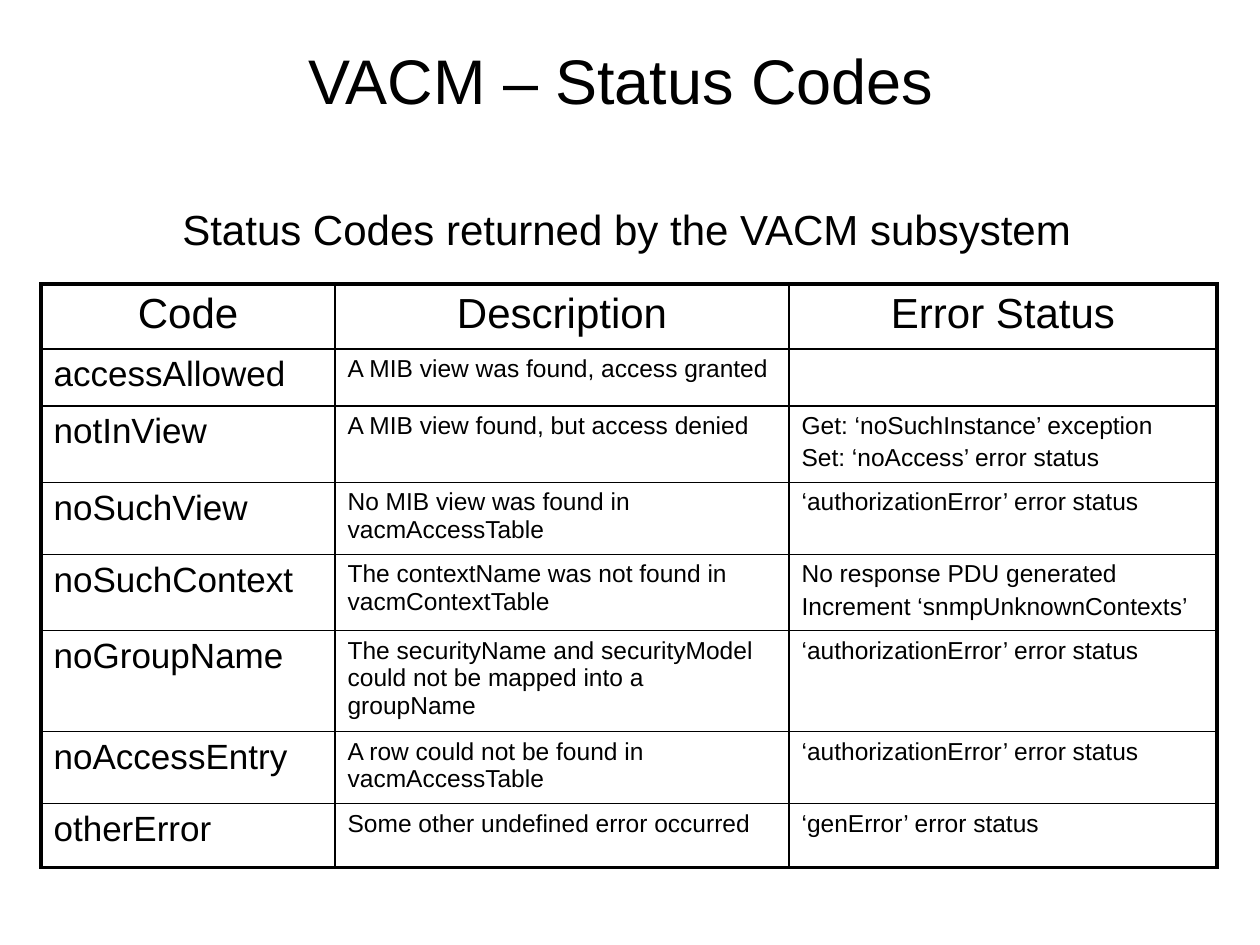
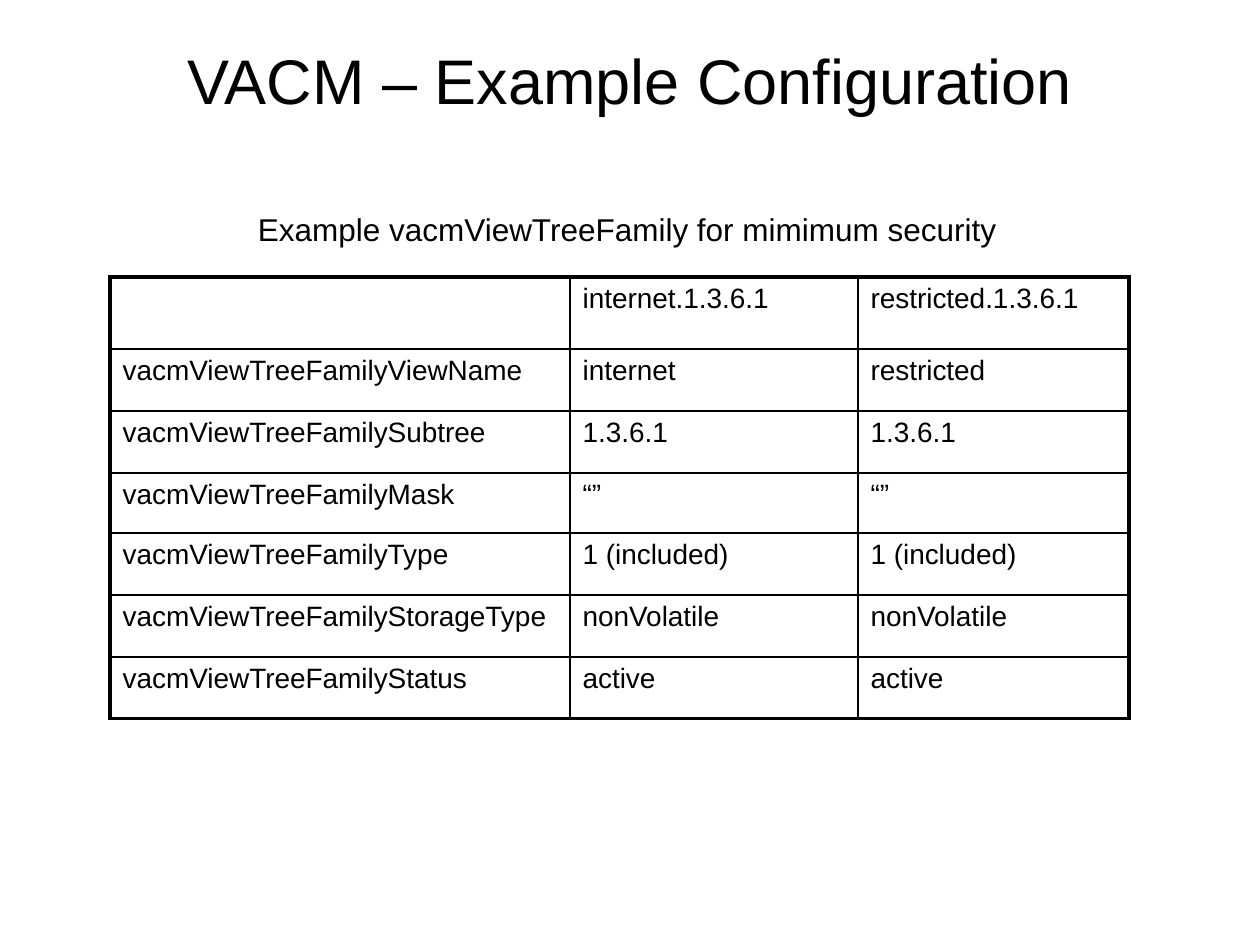
from lxml import etree
from pptx import Presentation
from pptx.dml.color import RGBColor
from pptx.enum import text
from pptx.oxml.ns import qn
from pptx.util import Emu, Pt

SCALE = 914400 / 126
FONT = "Arial"
BLACK = "000000"
THICK, THIN = 28575, 12700
LEFT, CENTER = text.PP_ALIGN.LEFT, text.PP_ALIGN.CENTER
TOP, MIDDLE = text.MSO_ANCHOR.TOP, text.MSO_ANCHOR.MIDDLE


def px(n):
    return Emu(round(n * SCALE))


def write(tf, lines, size, align):
    for i, line in enumerate(lines.split("\n")):
        p = tf.add_paragraph() if i else tf.paragraphs[0]
        p.alignment = align
        if i:
            p.space_before = Pt(size * 0.2)
        r = p.add_run()
        r.text = line
        for name, value in {"name": FONT, "size": Pt(size)}.items():
            setattr(r.font, name, value)
        r.font.color.rgb = RGBColor.from_string(BLACK)


status_rows = [
    ("Code", "Description", "Error Status"),
    ("accessAllowed", "A MIB view was found, access granted", ""),
    ("notInView", "A MIB view found, but access denied",
     "Get: ‘noSuchInstance’ exception\nSet: ‘noAccess’ error status"),
    ("noSuchView", "No MIB view was found in vacmAccessTable",
     "‘authorizationError’ error status"),
    ("noSuchContext", "The contextName was not found in vacmContextTable",
     "No response PDU generated\nIncrement ‘snmpUnknownContexts’"),
    ("noGroupName",
     "The securityName and securityModel could not be mapped into a groupName",
     "‘authorizationError’ error status"),
    ("noAccessEntry", "A row could not be found in vacmAccessTable",
     "‘authorizationError’ error status"),
    ("otherError", "Some other undefined error occurred", "‘genError’ error status"),
]
family_rows = [
    ("", "internet.1.3.6.1", "restricted.1.3.6.1"),
    ("vacmViewTreeFamilyViewName", "internet", "restricted"),
    ("vacmViewTreeFamilySubtree", "1.3.6.1", "1.3.6.1"),
    ("vacmViewTreeFamilyMask", "“”", "“”"),
    ("vacmViewTreeFamilyType", "1 (included)", "1 (included)"),
    ("vacmViewTreeFamilyStorageType", "nonVolatile", "nonVolatile"),
    ("vacmViewTreeFamilyStatus", "active", "active"),
]
slides = [
    {
        "title": "VACM – Status Codes ",
        "caption": ("Status Codes returned by the VACM subsystem ", 24, (168, 197, 929, 63)),
        "origin": (41, 284),
        "cols": (294, 454, 428),
        "heights": (65, 57, 76, 72, 76, 101, 72, 64),
        "head": (24, CENTER),
        "sizes": (20, 14, 14),
        "rows": status_rows,
    },
    {
        "title": "VACM – Example Configuration",
        "caption": ("Example vacmViewTreeFamily for mimimum security ", 18, (244, 204, 775, 50)),
        "origin": (110, 277),
        "cols": (460, 288, 271),
        "heights": (72, 62, 62, 60, 62, 62, 62),
        "head": (16, LEFT),
        "sizes": (16, 16, 16),
        "rows": family_rows,
    },
]

prs = Presentation()
prs.slide_width, prs.slide_height = px(1260), px(945)

for data in slides:
    s = prs.slides.add_slide(prs.slide_layouts[6])
    caption, caption_size, caption_box = data["caption"]
    for words, size, box, wrap, anchor in (
        (data["title"], 36, (63, 0, 1134, 158), True, MIDDLE),
        (caption, caption_size, caption_box, False, TOP),
    ):
        tf = s.shapes.add_textbox(*map(px, box)).text_frame
        for name, value in {"word_wrap": wrap, "vertical_anchor": anchor}.items():
            setattr(tf, name, value)
        write(tf, words, size, CENTER)

    rows, cols, heights = data["rows"], data["cols"], data["heights"]
    box = (*data["origin"], sum(cols), sum(heights))
    table = s.shapes.add_table(len(rows), len(cols), *map(px, box)).table
    for name in ("first_row", "horz_banding"):
        setattr(table, name, False)
    for column, width in zip(table.columns, cols):
        column.width = px(width)
    for row, height in zip(table.rows, heights):
        row.height = px(height)

    for y, row in enumerate(rows):
        for x, words in enumerate(row):
            cell = table.cell(y, x)
            if words:
                size, align = (data["sizes"][x], LEFT) if y else data["head"]
                write(cell.text_frame, words, size, align)
            outer = {
                "a:lnL": x == 0,
                "a:lnR": x == len(cols) - 1,
                "a:lnT": y == 0,
                "a:lnB": y == len(rows) - 1,
            }
            tcPr = cell._tc.get_or_add_tcPr()
            for tag, thick in outer.items():
                ln = etree.SubElement(tcPr, qn(tag), w=str(THICK if thick else THIN))
                fill = etree.SubElement(ln, qn("a:solidFill"))
                etree.SubElement(fill, qn("a:srgbClr"), val=BLACK)
            cell.fill.background()

prs.save("out.pptx")
